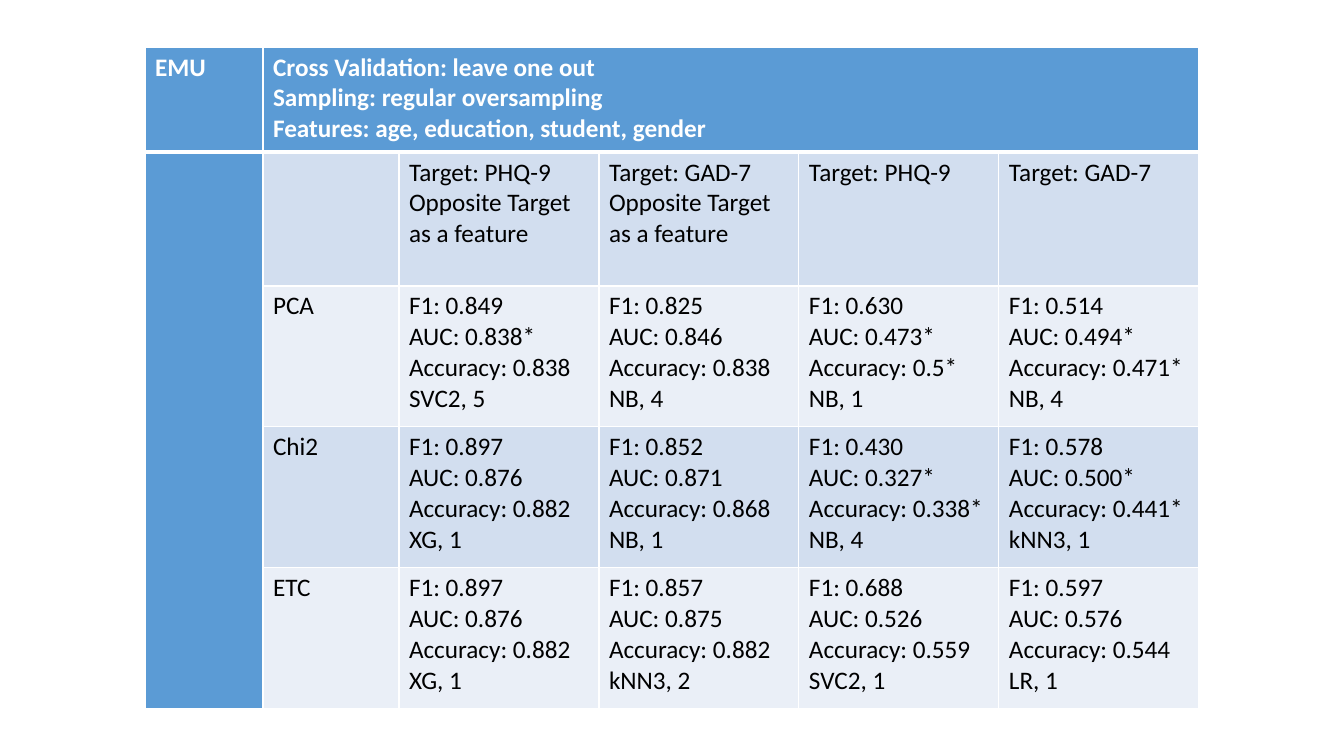
import pptx
import pptx.dml.color
import pptx.oxml
import pptx.oxml.ns
import pptx.util

EMU_PER_PX = 914400 / 100.8
HEADER_BLUE = pptx.dml.color.RGBColor(0x5B, 0x9B, 0xD5)
BAND_DARK = pptx.dml.color.RGBColor(0xD2, 0xDE, 0xEF)
BAND_LIGHT = pptx.dml.color.RGBColor(0xEA, 0xEF, 0xF7)
WHITE = pptx.dml.color.RGBColor(0xFF, 0xFF, 0xFF)
BLACK = pptx.dml.color.RGBColor(0x00, 0x00, 0x00)

COLUMN_WIDTHS = [118, 136, 200, 200, 200, 200]
ROW_HEIGHTS = [105, 134, 141, 141, 141]
STUDY = "EMU"
SETUP = (
    "Cross Validation: leave one out\n"
    "Sampling: regular oversampling\n"
    "Features: age, education, student, gender"
)
TARGETS = [
    "Target: PHQ-9\nOpposite Target as a feature",
    "Target: GAD-7\nOpposite Target as a feature",
    "Target: PHQ-9",
    "Target: GAD-7",
]
SCORES = {
    "PCA": [
        ("0.849", "0.838*", "0.838", "SVC2, 5"),
        ("0.825", "0.846", "0.838", "NB, 4"),
        ("0.630", "0.473*", "0.5*", "NB, 1"),
        ("0.514", "0.494*", "0.471*", "NB, 4"),
    ],
    "Chi2": [
        ("0.897", "0.876", "0.882", "XG, 1"),
        ("0.852", "0.871", "0.868", "NB, 1"),
        ("0.430", "0.327*", "0.338*", "NB, 4"),
        ("0.578", "0.500*", "0.441*", "kNN3, 1"),
    ],
    "ETC": [
        ("0.897", "0.876", "0.882", "XG, 1"),
        ("0.857", "0.875", "0.882", "kNN3, 2"),
        ("0.688", "0.526", "0.559", "SVC2, 1"),
        ("0.597", "0.576", "0.544", "LR, 1"),
    ],
}


def px(length):
    """Turn pixels into EMU."""
    return pptx.util.Emu(round(length * EMU_PER_PX))


def score_text(score):
    """Write one result as four lines."""
    f1, auc, accuracy, model = score
    return f"F1: {f1}\nAUC: {auc}\nAccuracy: {accuracy}\n{model}"


def set_borders(cell, top, bottom):
    """Give a cell white borders, with top and bottom widths in points."""
    properties = cell._tc.get_or_add_tcPr()
    widths = {"lnL": 1, "lnR": 1, "lnT": top, "lnB": bottom}
    for position, (side, width) in enumerate(widths.items()):
        border = pptx.oxml.parse_xml(
            f'<a:{side} {pptx.oxml.ns.nsdecls("a")} w="{pptx.util.Pt(width)}">'
            f'<a:solidFill><a:srgbClr val="{WHITE}"/></a:solidFill></a:{side}>'
        )
        properties.insert(position, border)


def fill_cell(cell, text, fill, color, bold):
    """Set the text and colours of a cell."""
    cell.fill.solid()
    cell.fill.fore_color.rgb = fill
    cell.text_frame.text = text
    for paragraph in cell.text_frame.paragraphs:
        for run in paragraph.runs:
            run.font.name = "Calibri"
            run.font.size = pptx.util.Pt(18)
            run.font.bold = bold
            run.font.color.rgb = color


def add_results_table(slide, rows):
    """Add the table of scores by feature selection and target."""
    table = slide.shapes.add_table(
        len(ROW_HEIGHTS), len(COLUMN_WIDTHS), px(145), px(47),
        px(sum(COLUMN_WIDTHS)), px(sum(ROW_HEIGHTS)),
    ).table
    table.first_col = True
    for column, width in zip(table.columns, COLUMN_WIDTHS):
        column.width = px(width)
    for row, height in zip(table.rows, ROW_HEIGHTS):
        row.height = px(height)
    for r, texts in enumerate(rows):
        for c, text in enumerate(texts):
            cell = table.cell(r, c)
            if r == 0 or c == 0:
                fill_cell(cell, text, HEADER_BLUE, WHITE, True)
            else:
                fill_cell(cell, text, BAND_DARK if r % 2 else BAND_LIGHT, BLACK, False)
            set_borders(cell, 3 if r == 1 else 1, 3 if r == 0 else 1)
    table.cell(0, 1).merge(table.cell(0, len(COLUMN_WIDTHS) - 1))
    table.cell(1, 0).merge(table.cell(len(ROW_HEIGHTS) - 1, 0))


def main():
    """Build the slide and save it."""
    deck = pptx.Presentation()
    deck.slide_width = px(1344)
    deck.slide_height = px(756)
    slide = deck.slides.add_slide(deck.slide_layouts[6])
    rows = [[STUDY, SETUP, "", "", "", ""], ["", "", *TARGETS]]
    for method, scores in SCORES.items():
        rows.append(["", method, *map(score_text, scores)])
    add_results_table(slide, rows)
    deck.save("out.pptx")


if __name__ == "__main__":
    main()
